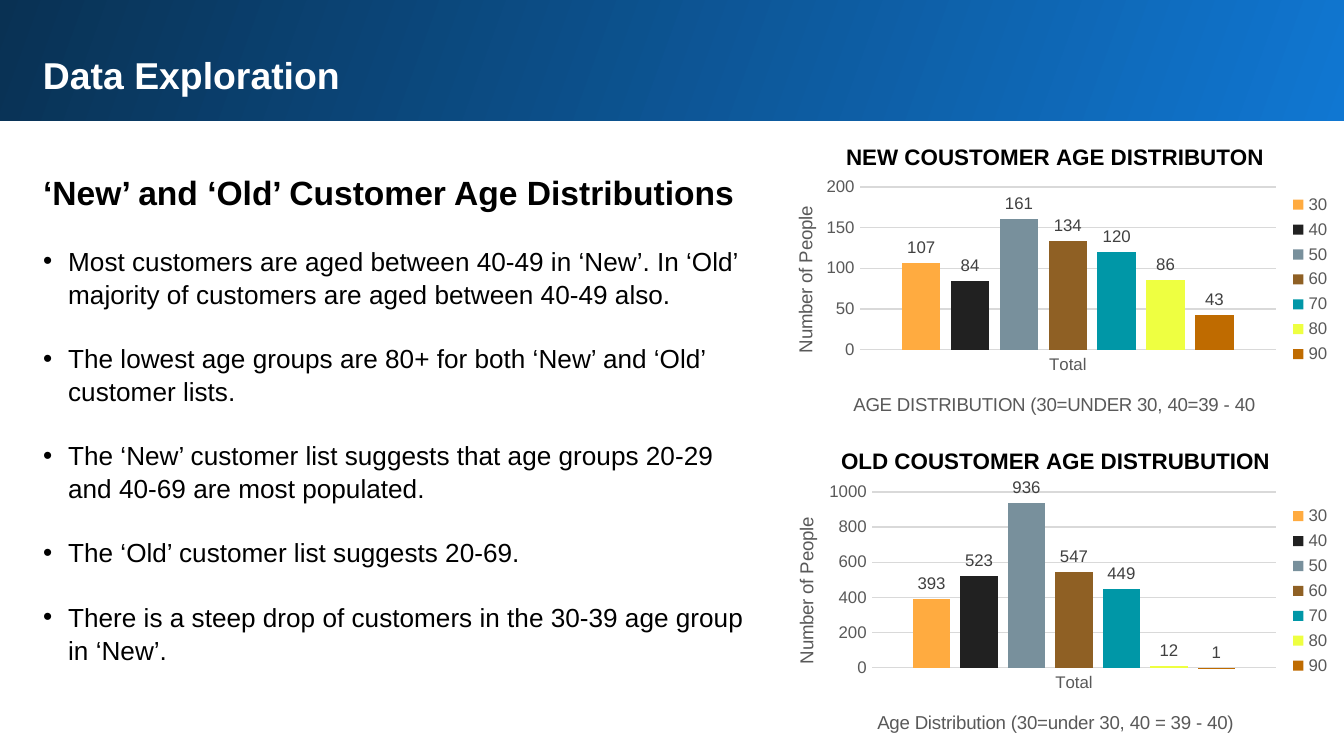
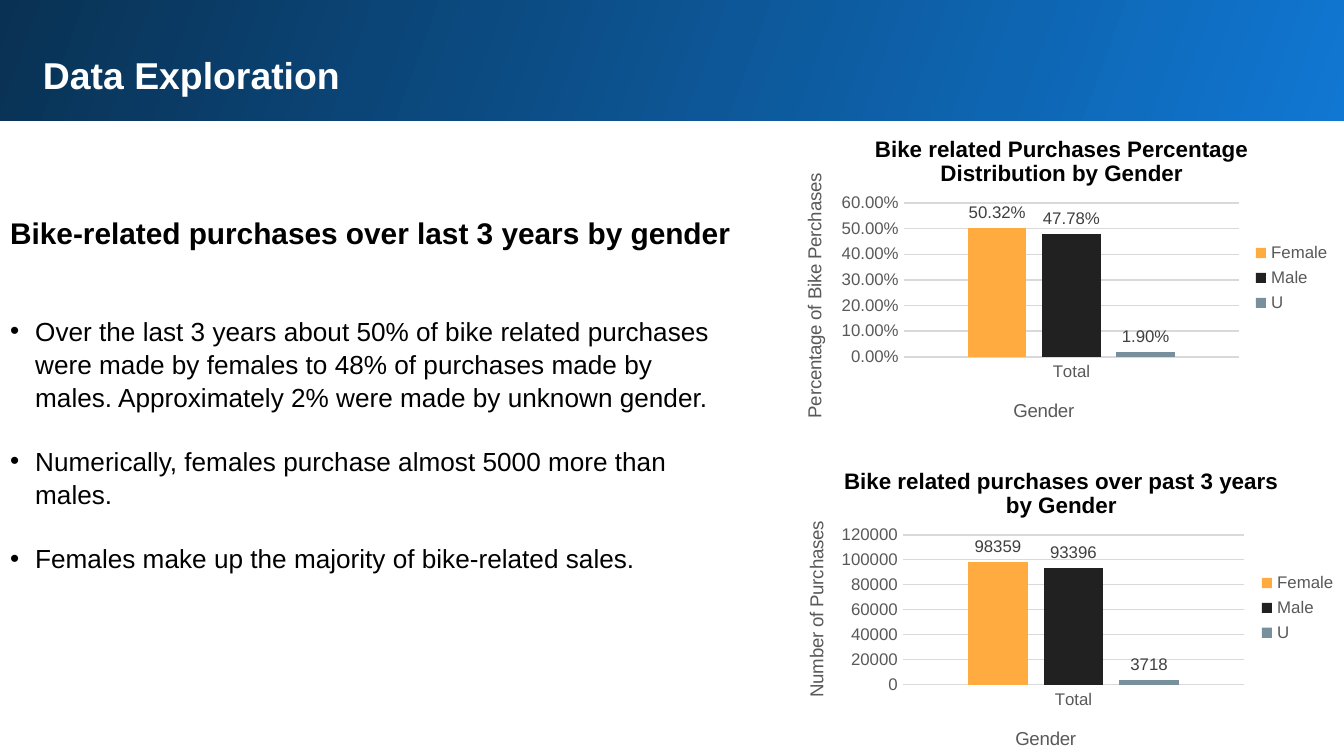
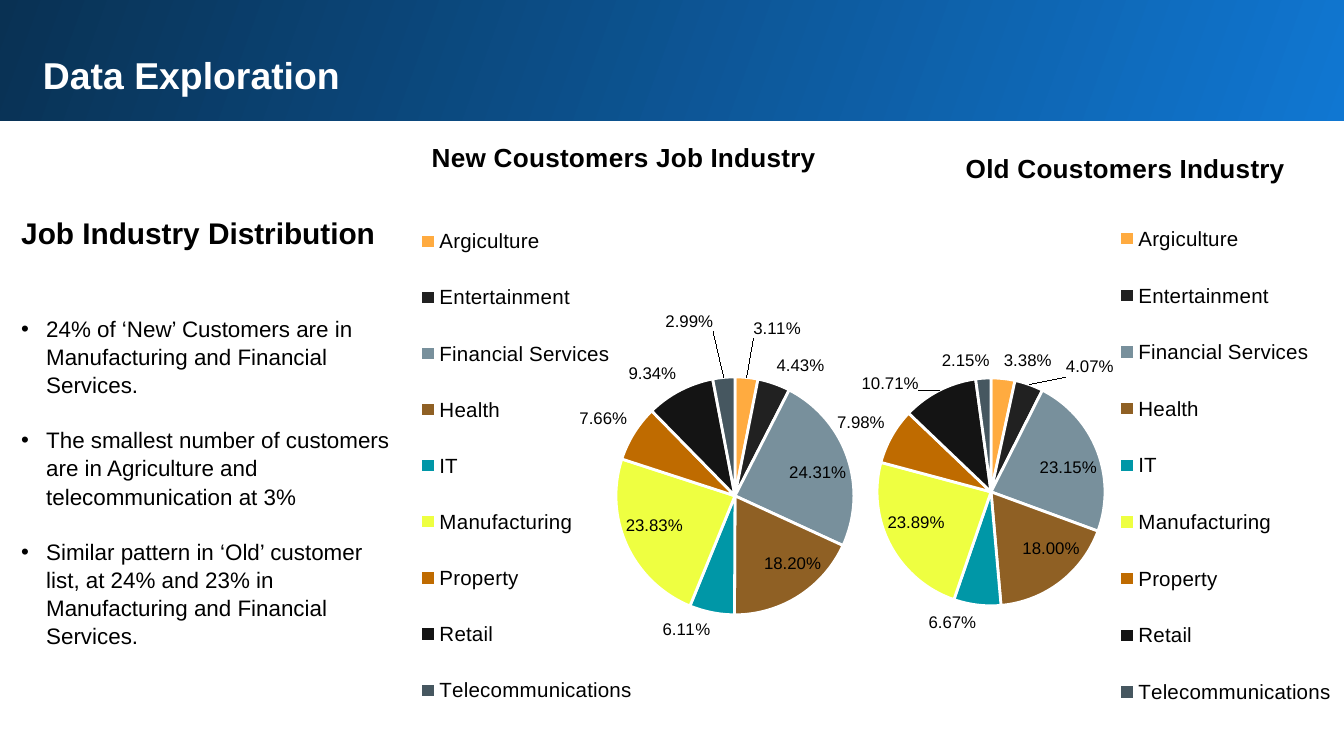
from collections import namedtuple

from pptx import Presentation
from pptx.chart.data import CategoryChartData
from pptx.dml.color import RGBColor
from pptx.enum.chart import XL_CHART_TYPE, XL_LABEL_POSITION, XL_LEGEND_POSITION, XL_TICK_MARK
from pptx.enum.shapes import MSO_SHAPE
from pptx.oxml import parse_xml
from pptx.oxml.ns import nsdecls, qn
from pptx.util import Emu, Pt

WIDTH, HEIGHT = 1344, 756
FONT = "Arial"
BLACK, WHITE = "000000", "FFFFFF"
BAND_LIGHT, BAND_DARK = "1077D2", "093153"
AXIS_GREY, LABEL_GREY, GRID_GREY = "595959", "404040", "D9D9D9"
PALETTE = ["FFAB40", "212121", "78909C", "8F6024", "0097A7",
           "EEFF41", "BF6B00", "141414", "465760"]
AGES = ["30", "40", "50", "60", "70", "80", "90"]
GENDERS = ["Female", "Male", "U"]
INDUSTRIES = ["Argiculture", "Entertainment", "Financial Services", "Health", "IT",
              "Manufacturing", "Property", "Retail", "Telecommunications"]

Box = namedtuple("Box", "left top width height")
Caption = namedtuple("Caption", "text left top")


def px(length):
    """Turn pixels into EMU."""
    return Emu(round(length * 9144000 / WIDTH))


def emus(box):
    """Turn a pixel box into four EMU lengths."""
    return [px(length) for length in box]


def rgb(value):
    """Turn a hex string into a colour."""
    return RGBColor.from_string(value)


def style(font, size, color, bold=False):
    """Give a font its face, size, colour and weight."""
    font.name, font.size, font.bold = FONT, Pt(size), bold
    font.color.rgb = rgb(color)


def add_header(slide, title):
    """Draw the gradient band with the slide title on it."""
    band = slide.shapes.add_shape(MSO_SHAPE.RECTANGLE, *emus(Box(-3, -3, 1351, 124)))
    band.shadow.inherit = False
    band.line.fill.background()
    band.fill.gradient()
    band.fill.gradient_angle = 160
    for stop, color in zip(band.fill.gradient_stops, (BAND_LIGHT, BAND_DARK)):
        stop.color.rgb = rgb(color)
    heading = slide.shapes.add_textbox(*emus(Box(30, 39, 1259, 73))).text_frame
    heading.word_wrap = True
    heading.margin_left = heading.margin_right = px(13)
    heading.margin_top = heading.margin_bottom = px(13)
    heading.text = title
    style(heading.paragraphs[0].runs[0].font, 20, WHITE, True)


def add_findings(slide, box, heading, heading_size, findings, size, first_gap):
    """Write a bold heading and the bulleted findings below it."""
    frame = slide.shapes.add_textbox(*emus(box)).text_frame
    frame.word_wrap = True
    frame.text = heading
    frame.paragraphs[0].line_spacing = 1.05
    style(frame.paragraphs[0].runs[0].font, heading_size, BLACK, True)
    for position, finding in enumerate(findings):
        paragraph = frame.add_paragraph()
        paragraph.text = finding
        paragraph.line_spacing = 1.05
        paragraph.space_before = Pt(size * 1.2 if position else first_gap)
        style(paragraph.runs[0].font, size, BLACK)
        properties = paragraph._p.get_or_add_pPr()
        properties.set("marL", str(px(25)))
        properties.set("indent", str(-px(25)))
        properties.append(parse_xml(f'<a:buFont {nsdecls("a")} typeface="{FONT}"/>'))
        properties.append(parse_xml(f'<a:buChar {nsdecls("a")} char="•"/>'))


def place(part, box, left, top, size=None, index=1):
    """Fix a chart part at pixels from the corner of the chart box."""
    for layout in part.findall(qn("c:layout")):
        part.remove(layout)
    target = extent = ""
    if size:
        extent = f'<c:w val="{size[0] / box.width:.4f}"/><c:h val="{size[1] / box.height:.4f}"/>'
    if index == 0:
        target = '<c:layoutTarget val="inner"/>'
    part.insert(index, parse_xml(
        f'<c:layout {nsdecls("c")}><c:manualLayout>{target}'
        f'<c:xMode val="edge"/><c:yMode val="edge"/>'
        f'<c:x val="{left / box.width:.4f}"/><c:y val="{top / box.height:.4f}"/>'
        f'{extent}</c:manualLayout></c:layout>'))


def write_caption(title, box, caption, size, color, bold=False):
    """Write and place a chart title or an axis title."""
    title.text_frame.text = caption.text
    style(title.text_frame.paragraphs[0].runs[0].font, size, color, bold)
    place(title._element, box, caption.left, caption.top)


def add_chart(slide, box, kind, data, title, title_size, plot, legend_size, legend_color):
    """Add a clear chart with its title, plot area and legend."""
    chart = slide.shapes.add_chart(kind, *emus(box), data).chart
    style(chart.font, 10, BLACK)
    chart._chartSpace.find(qn("c:chart")).addnext(parse_xml(
        f'<c:spPr {nsdecls("c", "a")}><a:noFill/><a:ln><a:noFill/></a:ln></c:spPr>'))
    chart.has_title = True
    write_caption(chart.chart_title, box, title, title_size, BLACK, True)
    area = chart._chartSpace.find(".//" + qn("c:plotArea"))
    place(area, box, plot.left, plot.top, (plot.width, plot.height), 0)
    chart.has_legend = True
    chart.legend.position = XL_LEGEND_POSITION.RIGHT
    chart.legend.include_in_layout = False
    style(chart.legend.font, legend_size, legend_color)
    return chart


def show_values(labels, number_format, position, color):
    """Show the values of a series as labels."""
    labels.show_value = True
    labels.number_format, labels.number_format_is_linked = number_format, False
    labels.position = position
    style(labels.font, 9, color)


def add_columns(slide, box, title, plot, value_title, category_title, names, values,
                number_format="0"):
    """Add a column chart with one series for each group."""
    data = CategoryChartData(number_format=number_format)
    data.categories = ["Total"]
    for name, value in zip(names, values):
        data.add_series(name, [value])
    chart = add_chart(slide, box, XL_CHART_TYPE.COLUMN_CLUSTERED, data, title, 12, plot,
                      9, AXIS_GREY)
    columns = chart.plots[0]
    columns.gap_width, columns.overlap, columns.vary_by_categories = 219, -27, False
    for series, color in zip(columns.series, PALETTE):
        series.format.fill.solid()
        series.format.fill.fore_color.rgb = rgb(color)
        series.invert_if_negative = False
        show_values(series.data_labels, number_format, XL_LABEL_POSITION.OUTSIDE_END, LABEL_GREY)
    value_axis, category_axis = chart.value_axis, chart.category_axis
    for axis, caption in ((value_axis, value_title), (category_axis, category_title)):
        axis.major_tick_mark = axis.minor_tick_mark = XL_TICK_MARK.NONE
        style(axis.tick_labels.font, 9, AXIS_GREY)
        write_caption(axis.axis_title, box, caption, 10, AXIS_GREY)
    for turned in value_axis.axis_title._element.iter(qn("a:bodyPr")):
        turned.set("rot", "-5400000")
        turned.set("vert", "horz")
    value_axis.tick_labels.number_format = number_format
    value_axis.tick_labels.number_format_is_linked = False
    value_axis.format.line.fill.background()
    for line in (value_axis.major_gridlines.format.line, category_axis.format.line):
        line.color.rgb = rgb(GRID_GREY)
        line.width = Pt(0.75)


def add_pie(slide, box, title, plot, legend, shares, label_shifts):
    """Add a pie of industries, with some labels shifted from their slices."""
    data = CategoryChartData(number_format="0.00%")
    data.categories = INDUSTRIES
    data.add_series("Series 1", shares)
    chart = add_chart(slide, box, XL_CHART_TYPE.PIE, data, title, 14, plot, 11, BLACK)
    place(chart.legend._element, box, legend.left, legend.top, (legend.width, legend.height))
    chart.plots[0].vary_by_categories = True
    series = chart.plots[0].series[0]
    show_values(series.data_labels, "0.00%", XL_LABEL_POSITION.BEST_FIT, BLACK)
    for index, color in enumerate(PALETTE):
        slice_format = series.points[index].format
        slice_format.fill.solid()
        slice_format.fill.fore_color.rgb = rgb(color)
        slice_format.line.color.rgb = rgb(WHITE)
        slice_format.line.width = Pt(1.5)
    for index, (right, down) in label_shifts.items():
        label = series.points[index].data_label
        style(label.font, 9, BLACK)
        label.position = XL_LABEL_POSITION.BEST_FIT
        element = series.data_labels._element.find(f'{qn("c:dLbl")}[{qn("c:idx")}]')
        for element in series.data_labels._element.findall(qn("c:dLbl")):
            if element.find(qn("c:idx")).get("val") == str(index):
                element.insert(1, parse_xml(
                    f'<c:layout {nsdecls("c")}><c:manualLayout>'
                    f'<c:x val="{right / box.width:.4f}"/><c:y val="{down / box.height:.4f}"/>'
                    f'</c:manualLayout></c:layout>'))
                element.insert(2, parse_xml(
                    f'<c:numFmt {nsdecls("c")} formatCode="0.00%" sourceLinked="0"/>'))


def build_ages(slide):
    """Fill the slide on customer ages."""
    add_columns(slide, Box(759, 121, 585, 317), Caption("NEW COUSTOMER AGE DISTRIBUTON", 83, 18),
                Box(101, 66, 416, 163), Caption("Number of People", 31, 82),
                Caption("AGE DISTRIBUTION (30=UNDER 30, 40=39 - 40", 91, 268),
                AGES, [107, 84, 161, 134, 120, 86, 43])
    add_columns(slide, Box(759, 425, 585, 332), Caption("OLD COUSTOMER AGE DISTRUBUTION", 78, 18),
                Box(113, 67, 404, 176), Caption("Number of People", 32, 89),
                Caption("Age Distribution (30=under 30, 40 = 39 - 40)", 115, 282),
                AGES, [393, 523, 936, 547, 449, 12, 1])
    add_findings(slide, Box(30, 163, 728, 543), "‘New’ and ‘Old’ Customer Age Distributions", 18, [
        "Most customers are aged between 40-49 in ‘New’. In ‘Old’ majority of customers "
        "are aged between 40-49 also.",
        "The lowest age groups are 80+ for both ‘New’ and ‘Old’ customer lists.",
        "The ‘New’ customer list suggests that age groups 20-29 and 40-69 are most populated.",
        "The ‘Old’ customer list suggests 20-69.",
        "There is a steep drop of customers in the 30-39 age group in ‘New’.",
    ], 14, 17)


def build_genders(slide):
    """Fill the slide on purchases by gender."""
    add_findings(slide, Box(-3, 206, 751, 367),
                 "Bike-related purchases over last 3 years by gender", 16, [
        "Over the last 3 years about 50% of bike related purchases were made by females "
        "to 48% of purchases made by males. Approximately 2% were made by unknown gender.",
        "Numerically, females purchase almost 5000 more than males.",
        "Females make up the majority of bike-related sales.",
    ], 14, 34)
    add_columns(slide, Box(773, 444, 577, 328),
                Caption("Bike related purchases over past 3 years by Gender", 67, 19),
                Box(130, 91, 341, 150), Caption("Number of Purchases", 28, 74),
                Caption("Gender", 239, 279), GENDERS, [98359, 93396, 3718])
    add_columns(slide, Box(773, 112, 571, 332),
                Caption("Bike related Purchases Percentage Distribution by Gender", 98, 19),
                Box(131, 91, 335, 154), Caption("Percentage of Bike Perchases", 26, 58),
                Caption("Gender", 237, 283), GENDERS, [0.5032, 0.4778, 0.019], "0.00%")


def build_industries(slide):
    """Fill the slide on job industries."""
    add_findings(slide, Box(8, 206, 402, 438), "Job Industry Distribution", 16, [
        "24% of ‘New’ Customers are in Manufacturing and Financial Services.",
        "The smallest number of customers are in Agriculture and telecommunication at 3%",
        "Similar pattern in ‘Old’ customer list, at 24% and 23% in Manufacturing and "
        "Financial Services.",
    ], 12, 34)
    add_pie(slide, Box(421, 128, 715, 628), Caption("New Coustomers Job Industry", 6, 8),
            Box(195, 249, 238, 238), Box(0, 69, 212, 538),
            [0.0311, 0.0443, 0.2431, 0.182, 0.0611, 0.2383, 0.0766, 0.0934, 0.0299],
            {0: (6, -31), 8: (-10, -38)})
    add_pie(slide, Box(762, 118, 718, 637), Caption("Old Coustomers Industry", 199, 29),
            Box(115, 260, 228, 228), Box(358, 76, 212, 543),
            [0.0338, 0.0407, 0.2315, 0.18, 0.0667, 0.2389, 0.0798, 0.1071, 0.0215],
            {7: (-17, 10)})


def main():
    """Build the three slides and save them."""
    deck = Presentation()
    deck.slide_width, deck.slide_height = px(WIDTH), px(HEIGHT)
    for build in (build_ages, build_genders, build_industries):
        slide = deck.slides.add_slide(deck.slide_layouts[6])
        add_header(slide, "Data Exploration")
        build(slide)
    deck.save("out.pptx")


if __name__ == "__main__":
    main()
